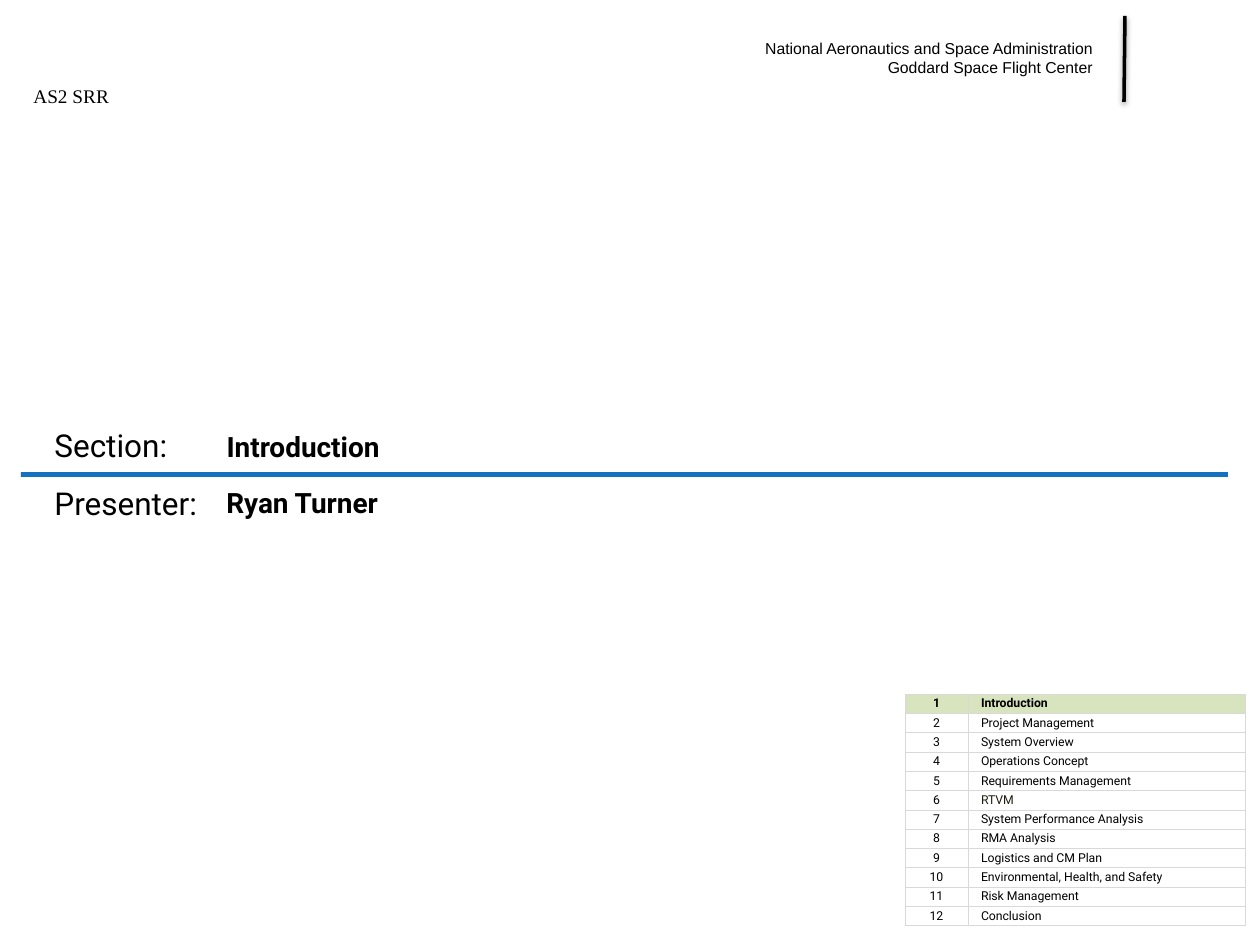
"""Build the section divider slide with its agenda table."""
from lxml.etree import SubElement
from pptx import Presentation
from pptx.dml.color import RGBColor
from pptx.enum.shapes import MSO_CONNECTOR, MSO_SHAPE
from pptx.enum.text import MSO_ANCHOR, MSO_AUTO_SIZE, PP_ALIGN
from pptx.oxml import parse_xml
from pptx.oxml.ns import nsdecls, qn
from pptx.util import Emu, Pt

BLACK = RGBColor(0x00, 0x00, 0x00)
SOFT_BLACK = RGBColor(0x1E, 0x1C, 0x11)
BLUE = RGBColor(0x13, 0x71, 0xBF)
GREEN = RGBColor(0xD7, 0xE4, 0xBD)
GREY = RGBColor(0xD9, 0xD9, 0xD9)
SCALE = 914400 / 126


def px(*lengths):
    return [Emu(round(length * SCALE)) for length in lengths]


def write(frame, lines, font, size, bold=False, align=PP_ALIGN.LEFT, color=BLACK):
    for index, line in enumerate(lines):
        para = frame.add_paragraph() if index else frame.paragraphs[0]
        para.alignment = align
        span = para.add_run()
        span.text = line
        span.font.name = font
        span.font.size = Pt(size)
        span.font.bold = bold
        span.font.color.rgb = color


deck = Presentation()
deck.slide_width, deck.slide_height = px(1260, 945)
page = deck.slides.add_slide(deck.slide_layouts[5])

bar = page.shapes.add_shape(MSO_SHAPE.RECTANGLE, *px(21, 472, 1207, 5))
bar.shadow.inherit = False
bar.fill.solid()
bar.fill.fore_color.rgb = BLUE
bar.line.fill.background()

rule = page.shapes.add_connector(MSO_CONNECTOR.STRAIGHT, *px(1125, 16, 1124, 102))
rule.line.color.rgb = BLACK
rule.line.width = Pt(2)
rule.element.spPr.append(parse_xml(
    f'<a:effectLst {nsdecls("a")}>'
    '<a:outerShdw blurRad="39370" dist="20320" dir="5400000" rotWithShape="0">'
    '<a:srgbClr val="000000"><a:alpha val="38000"/></a:srgbClr>'
    '</a:outerShdw></a:effectLst>'))

title = page.shapes.title
title.left, title.top, title.width, title.height = px(214, 422, 1002, 47)
title.text_frame.auto_size = MSO_AUTO_SIZE.NONE
title.text_frame.vertical_anchor = MSO_ANCHOR.BOTTOM
write(title.text_frame, ["Introduction"], "Roboto", 16, bold=True)

texts = [
    ((42, 420, 170, 50), ["Section:"], "Roboto", 18, False, PP_ALIGN.LEFT, True),
    ((42, 478, 170, 50), ["Presenter:"], "Roboto", 18, False, PP_ALIGN.LEFT, True),
    ((214, 479, 1002, 47), ["Ryan Turner"], "Roboto", 16, True, PP_ALIGN.LEFT, True),
    ((748, 33, 357, 50),
     ["National Aeronautics and Space Administration", "Goddard Space Flight Center"],
     "Arial", 9, False, PP_ALIGN.RIGHT, False),
    ((21, 78, 102, 37), ["AS2 SRR"], "Times New Roman", 11, False, PP_ALIGN.LEFT, False),
]
for place, lines, font, size, bold, align, wrap in texts:
    box = page.shapes.add_textbox(*px(*place))
    box.text_frame.word_wrap = wrap
    write(box.text_frame, lines, font, size, bold, align)

sections = [
    "Introduction", "Project Management", "System Overview", "Operations Concept",
    "Requirements Management", "RTVM", "System Performance Analysis", "RMA Analysis",
    "Logistics and CM Plan", "Environmental, Health, and Safety", "Risk Management",
    "Conclusion",
]
agenda = page.shapes.add_table(len(sections), 2, *px(905, 694, 340, 232)).table
agenda.columns[0].width, agenda.columns[1].width = px(63, 277)
for row, section in enumerate(sections):
    current = row == 0
    for column, label in enumerate([str(row + 1), section]):
        cell = agenda.cell(row, column)
        cell.vertical_anchor = MSO_ANCHOR.MIDDLE
        cell.margin_left, cell.margin_right = px(13, 13)
        cell.margin_top, cell.margin_bottom = px(2, 2)
        properties = cell._tc.get_or_add_tcPr()
        for side in ("a:lnL", "a:lnR", "a:lnT", "a:lnB"):
            border = SubElement(properties, qn(side), w=str(Pt(0.25)))
            paint = SubElement(border, qn("a:solidFill"))
            SubElement(paint, qn("a:srgbClr"), val=str(GREY))
        if current:
            cell.fill.solid()
            cell.fill.fore_color.rgb = GREEN
        else:
            cell.fill.background()
        align = PP_ALIGN.LEFT if column else PP_ALIGN.CENTER
        color = SOFT_BLACK if label == "RTVM" else BLACK
        write(cell.text_frame, [label], "Roboto", 7, current, align, color)

deck.save("out.pptx")
